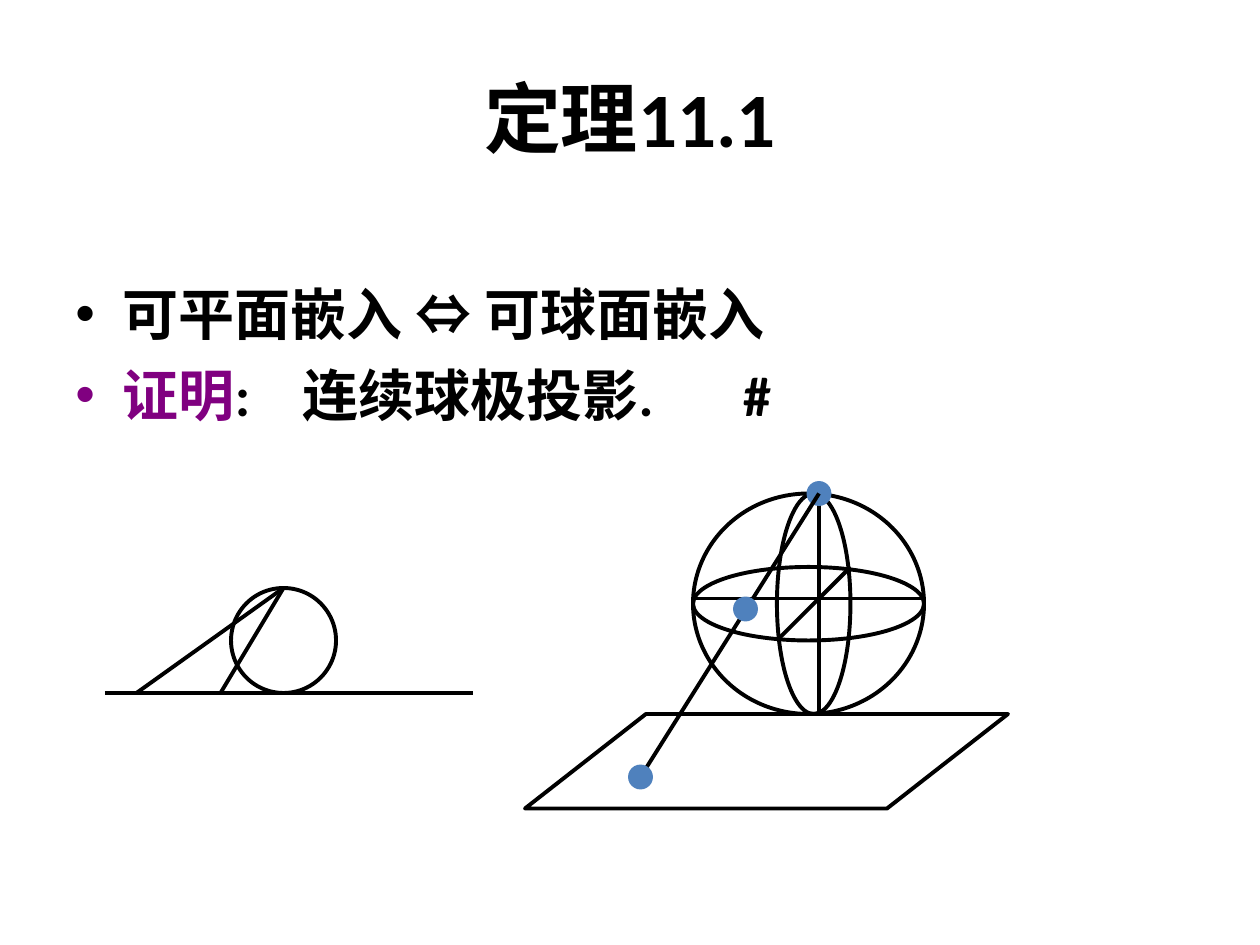
import pptx
import pptx.util
import pptx.dml.color
import pptx.enum.shapes
import pptx.enum.text
import lxml.etree

COLS, ROWS = 120, 90
BLACK, PURPLE, BLUE = "000000", "800080", "4F81BD"
MSO = pptx.enum.shapes.MSO_SHAPE
NS = "{http://schemas.openxmlformats.org/drawingml/2006/main}"

prs = pptx.Presentation()
prs.slide_width = pptx.util.Inches(10)
prs.slide_height = pptx.util.Inches(7.5)
s = prs.slides.add_slide(prs.slide_layouts[6])


def rgb(value):
    return pptx.dml.color.RGBColor.from_string(value)


def grid(*values):
    steps = (prs.slide_width / COLS, prs.slide_height / ROWS)
    return [round(v * steps[i % 2]) for i, v in enumerate(values)]


ANCHOR = pptx.enum.text.MSO_ANCHOR
ALIGN = pptx.enum.text.PP_ALIGN
texts = [
    ((6, 3.6, 108, 15), ANCHOR.MIDDLE, 44, False,
     [[("定理11.1", "Calibri", BLACK)]]),
    ((6, 26, 108, 42.5), ANCHOR.TOP, 32, True,
     [[("可平面嵌入 ", "Calibri", BLACK), ("⇔", "Arial", BLACK), (" 可球面嵌入", "Calibri", BLACK)],
      [("证明", "Calibri", PURPLE), (":\t连续球极投影.\t#", "Calibri", BLACK)]]),
]
for box, anchor, size, bulleted, paragraphs in texts:
    tf = s.shapes.add_textbox(*grid(*box)).text_frame
    tf.word_wrap = True
    tf.vertical_anchor = anchor
    for i, runs in enumerate(paragraphs):
        p = tf.add_paragraph() if i else tf.paragraphs[0]
        p.alignment = ALIGN.LEFT if bulleted else ALIGN.CENTER
        for text, font, colour in runs:
            r = p.add_run()
            r.text = text
            for key, value in {"name": font, "size": pptx.util.Pt(size), "bold": True}.items():
                setattr(r.font, key, value)
            r.font.color.rgb = rgb(colour)
        if bulleted:
            p.space_before = pptx.util.Pt(8)
            pPr = p._p.get_or_add_pPr()
            indent = grid(4.5)[0]
            pPr.set("marL", str(indent))
            pPr.set("indent", str(-indent))
            buClr = lxml.etree.SubElement(pPr, NS + "buClr")
            lxml.etree.SubElement(buClr, NS + "srgbClr", val=runs[0][2])
            lxml.etree.SubElement(pPr, NS + "buFont", typeface="Arial")
            lxml.etree.SubElement(pPr, NS + "buChar", char="•")
            tabLst = lxml.etree.SubElement(pPr, NS + "tabLst")
            for stop in (21.6, 63.6):
                lxml.etree.SubElement(tabLst, NS + "tab", pos=str(grid(stop)[0]), algn="l")

figures = [
    (MSO.OVAL, (66, 47, 22, 21), None),
    (MSO.OVAL, (66, 54, 22, 7), None),
    (MSO.OVAL, (74, 47, 7, 21), None),
    ("line", (74, 61, 81, 54), None),
    ("line", (66, 57, 88, 57), None),
    ("line", (78, 68, 78, 47), None),
    (MSO.OVAL, (77, 46, 2, 2), BLUE),
    (MSO.PARALLELOGRAM, (50, 68, 46, 9), None),
    ("line", (78, 47, 61, 74), None),
    (MSO.OVAL, (60, 73, 2, 2), BLUE),
    (MSO.OVAL, (70, 57, 2, 2), BLUE),
    (MSO.OVAL, (22, 56, 10, 10), None),
    ("line", (10, 66, 45, 66), None),
    ("line", (13, 66, 27, 56), None),
    ("line", (27, 56, 21, 66), None),
]
for kind, place, fill in figures:
    if kind == "line":
        sp = s.shapes.add_connector(pptx.enum.shapes.MSO_CONNECTOR.STRAIGHT, *grid(*place))
    else:
        sp = s.shapes.add_shape(kind, *grid(*place))
        sp.shadow.inherit = False
        if fill:
            sp.fill.solid()
            sp.fill.fore_color.rgb = rgb(fill)
        else:
            sp.fill.background()
        if kind == MSO.PARALLELOGRAM:
            sp.adjustments[0] = 1.28
    sp.line.color.rgb = rgb(fill or BLACK)
    sp.line.width = pptx.util.Pt(2.25)
    if kind == "line":
        lxml.etree.SubElement(sp._element.spPr, NS + "effectLst")

prs.save("out.pptx")
